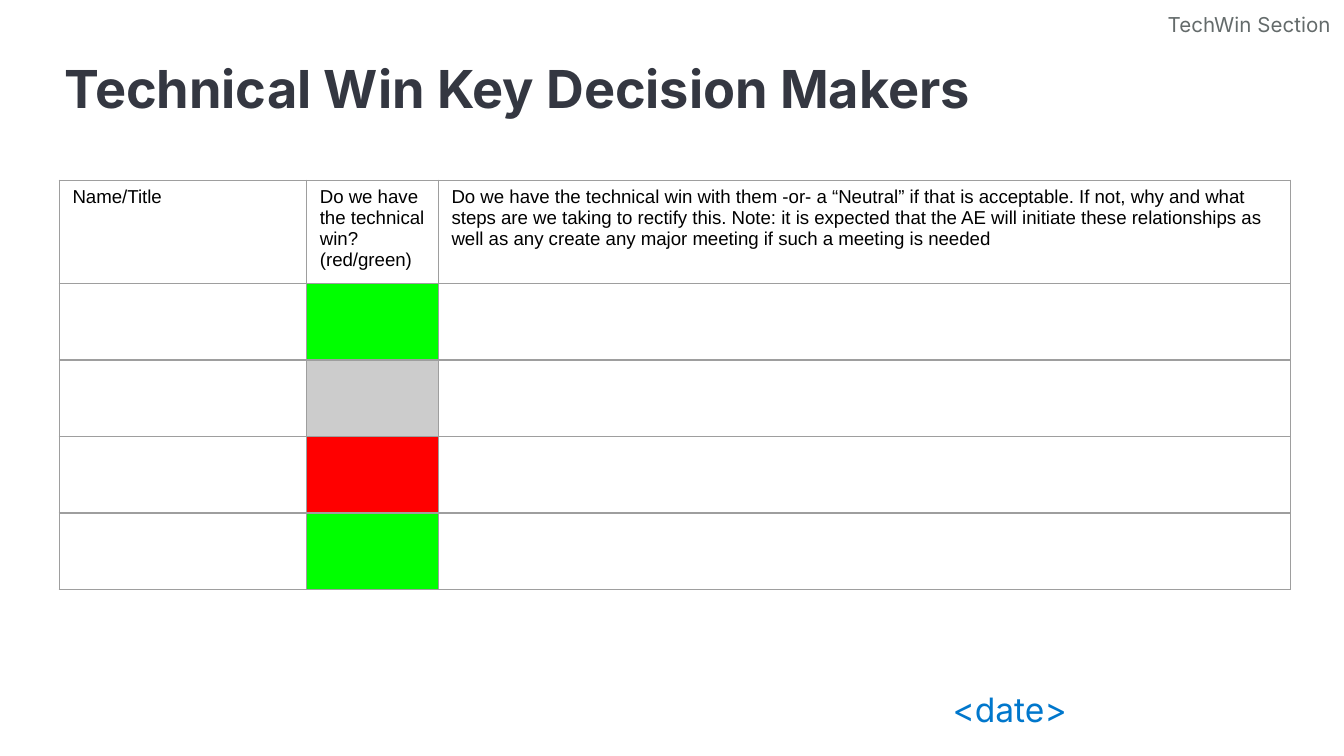
from lxml import etree
from pptx import Presentation
from pptx.dml.color import RGBColor
from pptx.enum.text import MSO_ANCHOR, PP_ALIGN
from pptx.oxml.ns import qn
from pptx.util import Inches, Pt

TOP, BOTTOM = MSO_ANCHOR.TOP, MSO_ANCHOR.BOTTOM
LEFT, RIGHT = PP_ALIGN.LEFT, PP_ALIGN.RIGHT

COLORS = {
    "title": "343741",
    "text": "000000",
    "date": "0077CC",
    "section": "646B6B",
    "border": "9E9E9E",
    "green": "00FF00",
    "gray": "CCCCCC",
    "red": "FF0000",
}

HEADERS = [
    "Name/Title",
    "Do we have the technical win? (red/green)",
    "Do we have the technical win with them -or- a “Neutral” if that is "
    "acceptable. If not, why and what steps are we taking to rectify this. "
    "Note: it is expected that the AE will initiate these relationships as "
    "well as any create any major meeting if such a meeting is needed",
]
STATUSES = ["green", "gray", "red", "green"]
COLUMN_WIDTHS = [1.84, 0.98, 6.34]
HEADER_HEIGHT, ROW_HEIGHT = 0.72, 0.57


def rgb(name):
    return RGBColor.from_string(COLORS[name])


def style_font(font, name, size, color, bold=False):
    font.name, font.size, font.bold = name, Pt(size), bold
    font.color.rgb = rgb(color)


def add_label(page, box, text, size, color, bold=False, align=LEFT,
              anchor=TOP, inset=0.1, spacing=1.0):
    frame = page.shapes.add_textbox(*map(Inches, box)).text_frame
    frame.word_wrap = True
    frame.vertical_anchor = anchor
    frame.margin_left = frame.margin_right = Inches(0.1)
    frame.margin_top = frame.margin_bottom = Inches(inset)
    frame.text = text
    para = frame.paragraphs[0]
    para.alignment, para.line_spacing = align, spacing
    style_font(para.runs[0].font, "Inter", size, color, bold)


def add_borders(cell):
    properties = cell._tc.get_or_add_tcPr()
    # Border elements come before the fill
    for index, side in enumerate(("a:lnL", "a:lnR", "a:lnT", "a:lnB")):
        line = etree.Element(qn(side), w=str(Pt(0.75)))
        fill = etree.SubElement(line, qn("a:solidFill"))
        etree.SubElement(fill, qn("a:srgbClr"), val=COLORS["border"])
        properties.insert(index, line)


def add_decision_table(page, left, top):
    heights = [HEADER_HEIGHT] + [ROW_HEIGHT] * len(STATUSES)
    box = (left, top, sum(COLUMN_WIDTHS), sum(heights))
    table = page.shapes.add_table(
        len(heights), len(COLUMN_WIDTHS), *map(Inches, box)).table
    table.first_row = table.horz_banding = False
    for column, width in zip(table.columns, COLUMN_WIDTHS):
        column.width = Inches(width)
    for row, height in zip(table.rows, heights):
        row.height = Inches(height)
    for cell in table.iter_cells():
        cell.fill.background()
        add_borders(cell)

    # Header row; the paragraph end mark takes the text size too
    for cell, text in zip(table.rows[0].cells, HEADERS):
        cell.text = text
        para = cell.text_frame.paragraphs[0]
        para.line_spacing = 1.0
        style_font(para.runs[0].font, "Arial", 10, "text")
        etree.SubElement(para._p, qn("a:endParaRPr"), sz="1000")

    # Status colours
    for number, status in enumerate(STATUSES, start=1):
        fill = table.cell(number, 1).fill
        fill.solid()
        fill.fore_color.rgb = rgb(status)


def main():
    deck = Presentation()
    # Widescreen, 16 to 9
    deck.slide_width, deck.slide_height = Inches(10), Inches(10 * 9 / 16)
    page = deck.slides.add_slide(deck.slide_layouts[6])

    # Title
    add_label(page, (0.38, 0.1, 8.71, 0.84), "Technical Win Key Decision Makers",
              28, "title", bold=True, anchor=BOTTOM, inset=0.05, spacing=0.9)
    add_decision_table(page, 0.44, 1.34)
    # Date and section labels
    add_label(page, (6.99, 5.03, 1.8, 0.44), "<date>", 18, "date")
    add_label(page, (8.35, 0, 1.65, 0.36), "TechWin Section", 11, "section",
              align=RIGHT)

    deck.save("out.pptx")


if __name__ == "__main__":
    main()
